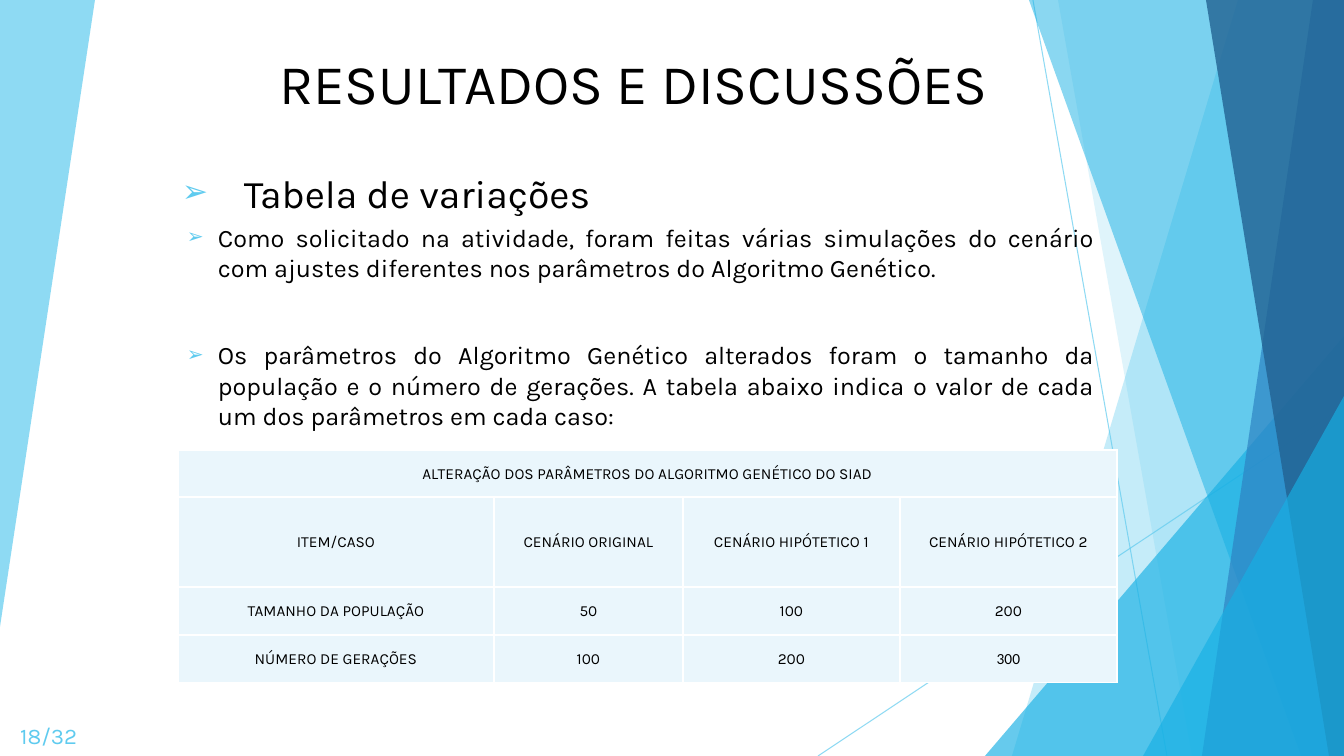
from lxml.etree import SubElement
from pptx import Presentation
from pptx.dml.color import RGBColor
from pptx.enum.shapes import MSO_CONNECTOR, MSO_SHAPE
from pptx.enum.text import MSO_ANCHOR, PP_ALIGN
from pptx.oxml.ns import qn
from pptx.util import Emu, Pt

# Content
TITLE = "RESULTADOS E DISCUSSÕES"
HEAD = "Tabela de variações"
BODY = [
    "Como solicitado na atividade, foram feitas várias simulações do cenário "
    "com ajustes diferentes nos parâmetros do Algoritmo Genético.",
    "Os parâmetros do Algoritmo Genético alterados foram o tamanho da "
    "população e o número de gerações. A tabela abaixo indica o valor de cada "
    "um dos parâmetros em cada caso:",
]
PAGE = "18/32"
ROWS = [
    ["ALTERAÇÃO DOS PARÂMETROS DO ALGORITMO GENÉTICO DO SIAD", "", "", ""],
    ["ITEM/CASO", "CENÁRIO ORIGINAL", "CENÁRIO HIPÓTETICO 1", "CENÁRIO HIPÓTETICO 2"],
    ["TAMANHO DA POPULAÇÃO", "50", "100", "200"],
    ["NÚMERO DE GERAÇÕES", "100", "200", "300"],
]
WIDE = [316, 189, 217, 217]
TALL = [47, 90, 48, 48]

# Style and scale
INK = {"sky": "5FCBEF", "aqua": "17B0E4", "blue": "2E83C3", "navy": "226292",
       "pale": "EAF6FC", "white": "FFFFFF", "black": "000000"}
FONT = "Karla"
UNIT = 914400 / 100.8
W, H = 1344, 756

# Backdrop, back to front: kind, geometry, colour, opacity in percent
DECOR = [
    ("free", [(0, 0), (95, 0), (0, 627)], "sky", 70),
    ("line", (1033, 0, 1167, H), "sky", 70),
    ("line", (W, 406, 818, H), "sky", 70),
    ("free", [(1238, 0), (W, 0), (W, H), (1012, H)], "sky", 36),
    ("free", [(1058, 0), (W, 0), (W, H), (1192, H)], "sky", 20),
    ("tri", (985, 336, 359, 420), "aqua", 66),
    ("free", [(1029, 0), (W, 0), (W, H), (1301, H)], "aqua", 50),
    ("free", [(1313, 0), (W, 0), (W, H), (1202, H)], "blue", 70),
    ("free", [(1206, 0), (W, 0), (W, H), (1329, H)], "navy", 80),
    ("tri", (1143, 396, 201, 360), "aqua", 66),
]


def px(*vals):
    return [Emu(round(v * UNIT)) for v in vals]


def rgb(name):
    return RGBColor.from_string(INK[name])


def paint(fill, name, alpha):
    fill.solid()
    fill.fore_color.rgb = rgb(name)
    tint = fill.fore_color._xFill.find(qn("a:srgbClr"))
    SubElement(tint, qn("a:alpha"), val=str(alpha * 1000))


def draw(shapes, kind, geo, name, alpha):
    if kind == "line":
        line = shapes.add_connector(MSO_CONNECTOR.STRAIGHT, *px(*geo))
        line.line.width = Pt(0.75)
        paint(line.line.fill, name, alpha)
        SubElement(line._element.spPr, qn("a:effectLst"))
        return
    if kind == "tri":
        part = shapes.add_shape(MSO_SHAPE.ISOSCELES_TRIANGLE, *px(*geo))
        part.adjustments[0] = 1
    else:
        pen = shapes.build_freeform(*geo[0], scale=UNIT)
        pen.add_line_segments(geo[1:], close=True)
        part = pen.convert_to_shape()
    part.shadow.inherit = False
    part.line.fill.background()
    paint(part.fill, name, alpha)


def style(para, size, align, name="black", font=FONT):
    para.alignment = align
    for run in para.runs:
        run.font.size = Pt(size)
        run.font.name = font
        run.font.color.rgb = rgb(name)


def bullet(para, indent, gap):
    para.space_before = Pt(gap)
    pr = para._p.get_or_add_pPr()
    step = px(indent)[0]
    pr.set("marL", str(step))
    pr.set("indent", str(-step))
    SubElement(SubElement(pr, qn("a:buClr")), qn("a:srgbClr"), val=INK["sky"])
    SubElement(pr, qn("a:buSzPct"), val="80000")
    SubElement(pr, qn("a:buFont"), typeface=FONT)
    SubElement(pr, qn("a:buChar"), char="➢")


def write(shapes, box, lines, size, align, name="black", anchor=MSO_ANCHOR.TOP):
    frame = shapes.add_textbox(*px(*box)).text_frame
    frame.word_wrap = True
    frame.vertical_anchor = anchor
    frame.text = "\n".join(lines)
    for para in frame.paragraphs:
        style(para, size, align, name)
    return frame.paragraphs


def border(cell):
    pr = cell._tc.get_or_add_tcPr()
    for side in ("lnL", "lnR", "lnT", "lnB"):
        edge = SubElement(pr, qn("a:" + side), w=str(Pt(1)))
        SubElement(SubElement(edge, qn("a:solidFill")), qn("a:srgbClr"),
                   val=INK["white"])


def tabulate(shapes):
    box = px(178, 450, sum(WIDE), sum(TALL))
    table = shapes.add_table(len(ROWS), len(WIDE), *box).table
    for col, wide in zip(table.columns, px(*WIDE)):
        col.width = wide
    for row, tall in zip(table.rows, px(*TALL)):
        row.height = tall
    for r, row in enumerate(ROWS):
        for c, text in enumerate(row):
            cell = table.cell(r, c)
            cell.margin_left, cell.margin_right, cell.margin_top = px(1, 1, 1)
            cell.margin_bottom = 0
            cell.vertical_anchor = MSO_ANCHOR.MIDDLE
            border(cell)
            cell.fill.solid()
            cell.fill.fore_color.rgb = rgb("pale")
            cell.text_frame.text = text
            font = "Calibri" if text == "300" else FONT
            style(cell.text_frame.paragraphs[0], 11, PP_ALIGN.CENTER, font=font)
    table.cell(0, 0).merge(table.cell(0, len(WIDE) - 1))


def main():
    deck = Presentation()
    deck.slide_width, deck.slide_height = px(W, H)
    shapes = deck.slides.add_slide(deck.slide_layouts[6]).shapes

    # Backdrop
    for item in DECOR:
        draw(shapes, *item)

    # Text
    head = write(shapes, (172, 164, 1037, 54), [HEAD], 28, PP_ALIGN.LEFT)
    bullet(head[0], 62, 10)
    write(shapes, (151, 42, 965, 79), [TITLE], 40, PP_ALIGN.CENTER,
          anchor=MSO_ANCHOR.BOTTOM)
    write(shapes, (0, 716, 87, 40), [PAGE], 16, PP_ALIGN.RIGHT, "sky",
          MSO_ANCHOR.MIDDLE)
    body = write(shapes, (177, 217, 927, 225), BODY, 18, PP_ALIGN.JUSTIFY)
    for para, gap in zip(body, (10, 41)):
        bullet(para, 31, gap)

    # Table
    tabulate(shapes)
    deck.save("out.pptx")


if __name__ == "__main__":
    main()
